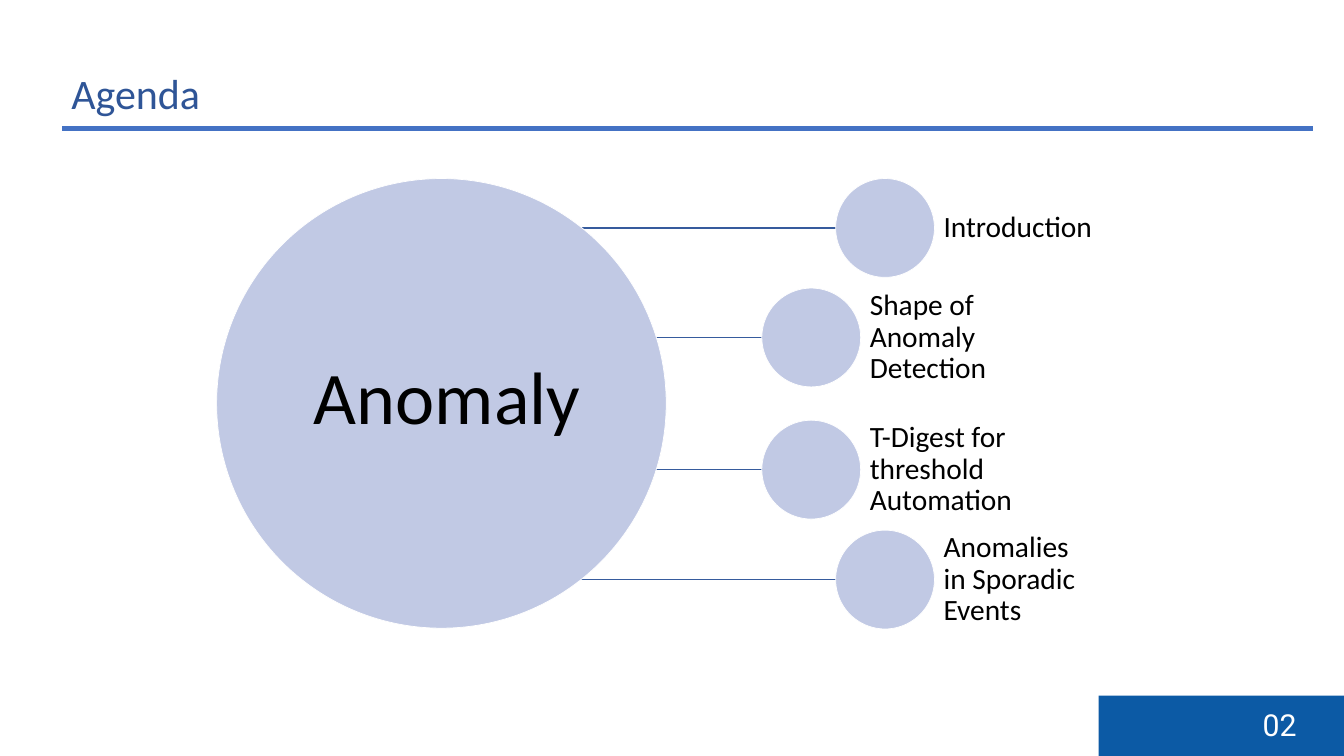
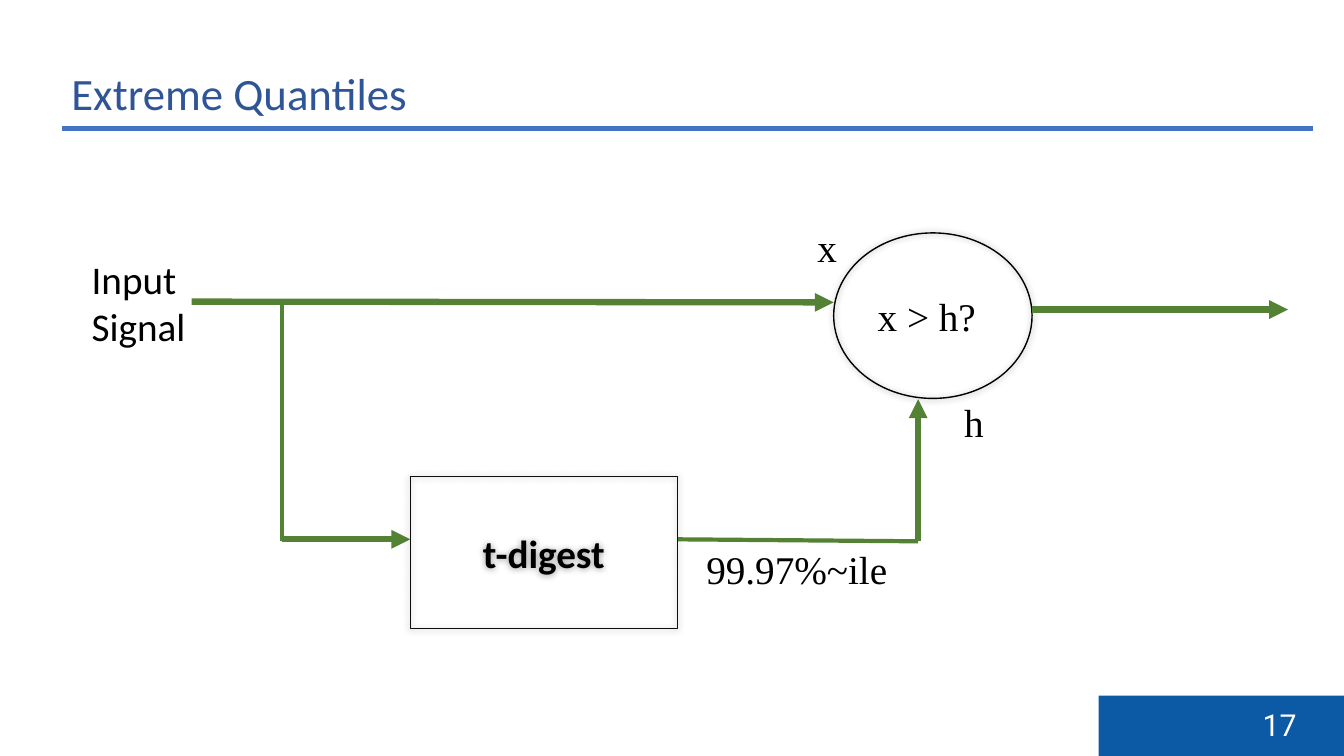
from lxml import etree
from pptx import Presentation
from pptx.dml.color import RGBColor
from pptx.enum.shapes import MSO_CONNECTOR as LINK, MSO_SHAPE as SHAPE
from pptx.enum.text import MSO_ANCHOR as ANCHOR, PP_ALIGN as ALIGN
from pptx.oxml.ns import qn
from pptx.util import Cm, Pt

BLUE, BAND, RULE = "2F5597", "0C5AA5", "4472C4"
DISC, SPOKE, GREEN = "C1C9E4", "365B9D", "548235"
BLACK, WHITE = "000000", "FFFFFF"
SANS, SERIF, DIGIT = "Calibri", "Times New Roman", "Roboto"


def rgb(code):
    return RGBColor.from_string(code)


class Deck:
    def __init__(self):
        self.prs = Presentation()
        self.prs.slide_width, self.prs.slide_height = Cm(33.87), Cm(19.05)

    def page(self, title, size, number):
        """Start a slide with its title, rule and number band."""
        self.slide = self.prs.slides.add_slide(self.prs.slide_layouts[6])
        self.text(title, 1.55, 1.5, 25, 1.65, size, color=BLUE,
                  anchor=ANCHOR.MIDDLE)
        self.shape(SHAPE.RECTANGLE, 27.69, 17.53, 6.18, 1.52, BAND)
        self.text(number, 31.25, 17.68, 2, 1.17, 21.6, DIGIT, WHITE,
                  ALIGN.CENTER)
        self.shape(SHAPE.RECTANGLE, 1.55, 3.15, 31.55, 0.18, RULE, WHITE, 1)

    def label(self, frame, words, size, font=SANS, color=BLACK,
              align=ALIGN.LEFT, anchor=ANCHOR.TOP, bold=False, pitch=None):
        """Fill a text frame and style it."""
        frame.word_wrap = True
        frame.vertical_anchor = anchor
        frame.text = words
        for par in frame.paragraphs:
            par.alignment = align
            if pitch:
                par.line_spacing = pitch
            for run in par.runs:
                run.font.name, run.font.size = font, Pt(size)
                run.font.bold = bold
                run.font.color.rgb = rgb(color)

    def text(self, words, x, y, w, h, *style, inset=(0.25, 0.13), **more):
        box = self.slide.shapes.add_textbox(Cm(x), Cm(y), Cm(w), Cm(h))
        frame = box.text_frame
        frame.margin_left = frame.margin_right = Cm(inset[0])
        frame.margin_top = frame.margin_bottom = Cm(inset[1])
        self.label(frame, words, *style, **more)

    def shape(self, kind, x, y, w, h, fill=None, line=None, width=1,
              glow=False):
        item = self.slide.shapes.add_shape(kind, Cm(x), Cm(y), Cm(w), Cm(h))
        item.shadow.inherit = False
        if fill:
            item.fill.solid()
            item.fill.fore_color.rgb = rgb(fill)
        else:
            item.fill.background()
        if line:
            item.line.color.rgb = rgb(line)
            item.line.width = Pt(width)
        else:
            item.line.fill.background()
        if glow:
            self.glow(item)
        return item

    def glow(self, item):
        """Put a soft shadow all round the shape."""
        effects = item._element.spPr.find(qn("a:effectLst"))
        shade = etree.SubElement(effects, qn("a:outerShdw"),
                                 blurRad=str(Pt(5)), dist="0", dir="0",
                                 algn="ctr", rotWithShape="0")
        tone = etree.SubElement(shade, qn("a:srgbClr"), val=BLACK)
        etree.SubElement(tone, qn("a:alpha"), val="40000")

    def line(self, x1, y1, x2, y2, color, width, arrow=False):
        item = self.slide.shapes.add_connector(
            LINK.STRAIGHT, Cm(x1), Cm(y1), Cm(x2), Cm(y2))
        item.line.color.rgb = rgb(color)
        item.line.width = Pt(width)
        props = item._element.spPr
        if arrow:
            etree.SubElement(props.find(qn("a:ln")), qn("a:tailEnd"),
                             type="triangle")
        etree.SubElement(props, qn("a:effectLst"))


def agenda(deck):
    deck.page("Agenda", 30, "02")
    left, top, big, small = 5.46, 4.5, 11.33, 2.49
    near, far = 19.2, 21.06
    topics = [
        ("Introduction", far, 4.5, 4.22),
        ("Shape of Anomaly Detection", near, 7.26, 3.56),
        ("T-Digest for threshold Automation", near, 10.59, 4.09),
        ("Anomalies in Sporadic Events", far, 13.36, 3.81),
    ]
    for _, x, y, _ in topics:
        mid = y + small / 2
        deck.line(left + big / 2, mid, x, mid, SPOKE, 1)
    deck.shape(SHAPE.OVAL, left, top, big, big, DISC, WHITE, 0.5)
    deck.text("Anomaly", 7.64, 8.59, 7.26, 2.51, 53, align=ALIGN.CENTER,
              anchor=ANCHOR.BOTTOM, pitch=0.9, inset=(0, 0))
    for words, x, y, w in topics:
        deck.shape(SHAPE.OVAL, x, y, small, small, DISC, WHITE, 0.5)
        deck.text(words, x + small, y, w, small, 21, anchor=ANCHOR.MIDDLE,
                  pitch=0.9, inset=(0.23, 0))


def flow(deck):
    deck.page("Extreme Quantiles", 32, "17")
    fork, turn, low = 7.11, 23.14, 13.59
    deck.text("Input\nSignal", 2.06, 6.3, 3.2, 2.64, 28)
    deck.line(4.83, 7.6, 21.01, 7.62, GREEN, 4.5, True)
    deck.line(fork, low, 10.34, low, GREEN, 4.5, True)
    deck.line(fork, 7.62, fork, 13.64, GREEN, 3)
    box = deck.shape(SHAPE.RECTANGLE, 10.34, 12.01, 6.73, 3.84,
                     line="0D0D0D", width=0.75, glow=True)
    deck.label(box.text_frame, "t-digest", 28, align=ALIGN.CENTER,
               anchor=ANCHOR.MIDDLE, bold=True)
    deck.line(turn, 13.64, turn, 10.06, GREEN, 4.5, True)
    deck.line(17.09, low, turn, 13.64, GREEN, 3)
    deck.shape(SHAPE.OVAL, 21.01, 5.87, 5, 4.17, line=BLACK, glow=True)
    deck.line(26.01, 7.8, 32.46, 7.8, GREEN, 4.5, True)
    for words, x, y, w in [("x > h?", 21.87, 7.24, 3.02),
                           ("x", 20.35, 5.51, 3.02),
                           ("h", 24.05, 9.91, 3.02),
                           ("99.97%~ile", 17.55, 13.61, 5.56)]:
        deck.text(words, x, y, w, 1.45, 28, SERIF)


def main():
    deck = Deck()
    agenda(deck)
    flow(deck)
    deck.prs.save("out.pptx")


if __name__ == "__main__":
    main()
